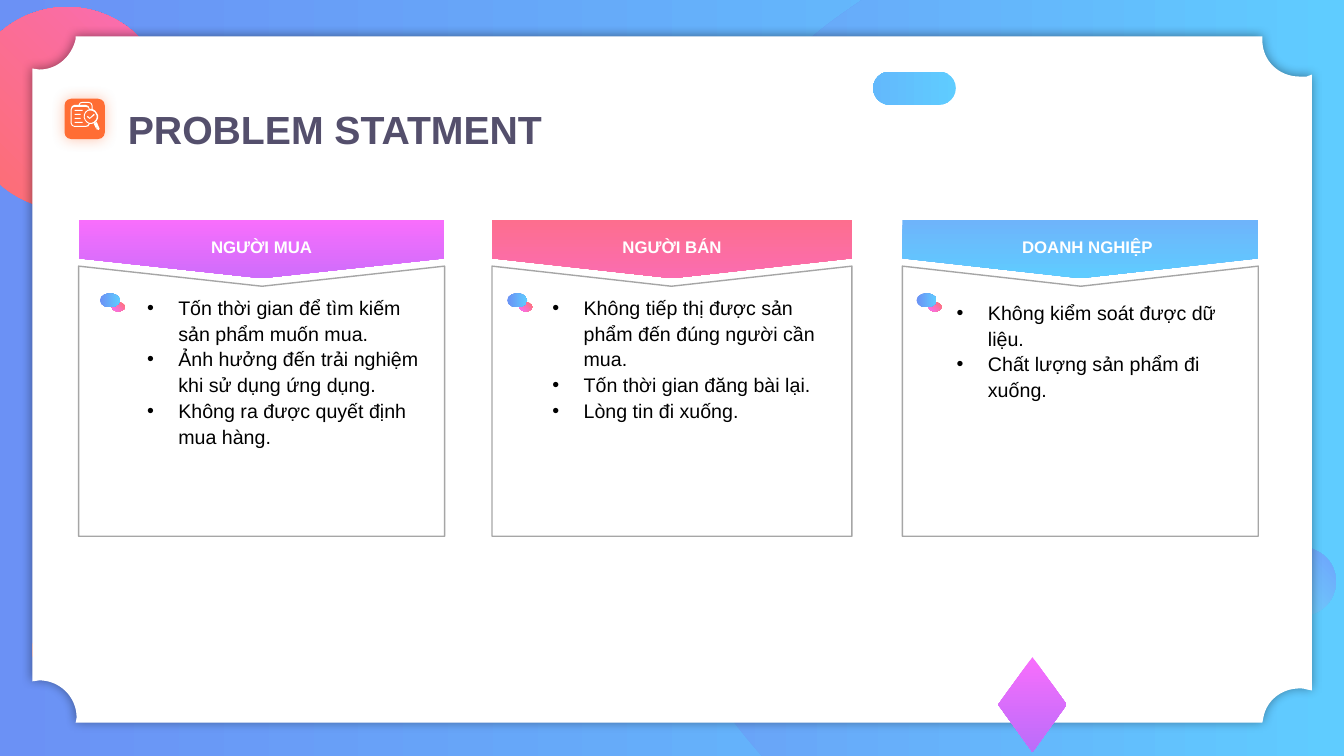
import dataclasses
import typing

import lxml.etree
import pptx
import pptx.dml.color
import pptx.dml.fill
import pptx.enum.shapes
import pptx.enum.text
import pptx.oxml.ns
import pptx.shapes.autoshape
import pptx.text.text
import pptx.util

PX = 9144
SHAPE = pptx.enum.shapes.MSO_SHAPE
ALIGN = pptx.enum.text.PP_ALIGN
ANCHOR = pptx.enum.text.MSO_ANCHOR
qn = pptx.oxml.ns.qn

COLORS = {
    "white": "FFFFFF", "black": "000000", "title": "544F6C", "border": "A6A6A6",
    "orange": "FF6D34", "periwinkle": "6B91F5", "sky": "5FCCFF", "blue": "6B9EF7",
    "coral": "FD6E6E", "pink": "F96DB6", "amber": "FDCA6E", "cyan": "6DDCFA",
    "cornflower": "6EA2FC", "magenta": "F86EFC", "violet": "BA6DFA",
    "orchid": "CE6DFB", "rose": "FD6E8E", "hot pink": "FB6DB1",
    "light blue": "6EB4FB", "azure": "63B9FC", "salmon": "FF7270",
}

Step = tuple[float, ...]


class Paint(typing.NamedTuple):
    start: str
    end: str = ""
    angle: int = 0


class Box(typing.NamedTuple):
    left: float
    top: float
    width: float
    height: float

    def emu(self) -> list[int]:
        return [round(value * PX) for value in self]


@dataclasses.dataclass
class Card:
    heading: str
    points: list[str]
    left: int
    width: int
    header: Paint
    heading_box: Box
    points_box: Box
    marker_left: int


@dataclasses.dataclass
class Ornament:
    preset: SHAPE
    box: Box
    paint: Paint


CARDS = [
    Card("NGƯỜI MUA",
         ["Tốn thời gian để tìm kiếm sản phẩm muốn mua.",
          "Ảnh hưởng đến trải nghiệm khi sử dụng ứng dụng.",
          "Không ra được quyết định mua hàng."],
         78, 363, Paint("magenta", "orchid"),
         Box(143, 225, 233, 39), Box(136, 286, 298, 165), 99),
    Card("NGƯỜI BÁN",
         ["Không tiếp thị được sản phẩm đến đúng người cần mua.",
          "Tốn thời gian đăng bài lại.",
          "Lòng tin đi xuống."],
         488, 357, Paint("rose", "hot pink"),
         Box(552, 225, 229, 39), Box(538, 286, 301, 139), 503),
    Card("DOANH NGHIỆP",
         ["Không kiểm soát được dữ liệu.",
          "Chất lượng sản phẩm đi xuống."],
         895, 353, Paint("light blue", "sky"),
         Box(965, 225, 227, 39), Box(939, 291, 302, 113), 909),
]

BACKDROP_CIRCLES = [
    Ornament(SHAPE.OVAL, Box(-34, 7, 201, 201), Paint("coral", "pink", 315)),
    Ornament(SHAPE.OVAL, Box(32, 611, 68, 68), Paint("coral", "amber", 315)),
    Ornament(SHAPE.OVAL, Box(1257, 543, 68, 68), Paint("cyan", "cornflower", 315)),
]

BACKDROP_SWEEP: list[list[Step]] = [[
    (855, 0), (1328, 0), (1328, 750), (756, 750), (755, 749),
    (676, 661, 627, 545, 627, 417), (627, 246, 713, 96, 845, 7)]]

PANEL: list[list[Step]] = [[
    (75, 36), (1252, 36), (1252, 40), (1252, 60, 1268, 76, 1289, 76),
    (1291, 76, 1294, 76, 1296, 76), (1301, 74), (1301, 685), (1296, 684),
    (1294, 683, 1291, 683, 1289, 683), (1271, 683, 1256, 695, 1253, 712),
    (1252, 717), (75, 717), (76, 712), (76, 691, 59, 675, 39, 675),
    (32, 676), (32, 68), (39, 69), (57, 69, 71, 56, 75, 39)]]

CLIPBOARD: list[list[Step]] = [
    [(88, 123), (89, 123), (89, 125, 87, 126, 85, 126), (74, 126),
     (72, 126, 70, 124, 70, 122), (70, 109), (70, 106, 72, 104, 74, 104),
     (78, 104), (78, 102, 80, 101, 82, 101), (88, 101),
     (90, 101, 92, 103, 92, 105), (92, 108), (91, 108), (91, 105),
     (91, 103, 89, 102, 88, 102), (82, 102), (80, 102, 79, 103, 79, 104),
     (85, 104), (87, 104, 89, 106, 89, 108), (88, 108),
     (88, 107, 87, 106, 85, 106), (74, 106), (73, 106, 71, 107, 71, 109),
     (71, 122), (71, 124, 73, 125, 74, 125), (85, 125),
     (86, 125, 87, 124, 88, 123)],
    [(94, 122), (90, 124, 86, 123, 84, 119), (82, 116, 83, 111, 87, 109),
     (90, 107, 94, 108, 96, 112), (99, 115, 97, 120, 94, 122)],
    [(93, 121), (96, 119, 97, 115, 95, 113), (94, 110, 90, 109, 87, 110),
     (84, 112, 83, 116, 85, 119), (87, 122, 90, 123, 93, 121)],
    [(96, 121), (93, 123), (95, 127), (98, 126)],
    [(98, 126), (95, 128), (96, 129, 97, 129, 98, 129), (99, 128, 99, 127, 98, 126)],
    [(89, 117), (87, 115), (86, 116), (89, 118), (94, 114), (93, 113)],
] + [[(74, y), (right, y), (right, y + 1), (74, y + 1)]
     for y, right in ((109, 82), (113, 80), (117, 80), (121, 82))]

deck = pptx.Presentation()
deck.slide_width, deck.slide_height = 1333 * PX, 750 * PX
slide = deck.slides.add_slide(deck.slide_layouts[6])


def rgb(name: str) -> pptx.dml.color.RGBColor:
    return pptx.dml.color.RGBColor.from_string(COLORS[name])


def apply_paint(fill: pptx.dml.fill.FillFormat, paint: Paint | None) -> None:
    if paint is None:
        fill.background()
    elif paint.end:
        fill.gradient()
        fill.gradient_angle = -paint.angle % 360
        for stop, name in zip(fill.gradient_stops, (paint.start, paint.end)):
            stop.color.rgb = rgb(name)
    else:
        fill.solid()
        fill.fore_color.rgb = rgb(paint.start)


def finish(shape: pptx.shapes.autoshape.Shape, paint: Paint | None) -> pptx.shapes.autoshape.Shape:
    shape.shadow.inherit = False
    apply_paint(shape.fill, paint)
    shape.line.fill.background()
    return shape


def add_preset(preset: SHAPE, box: Box, paint: Paint | None = None,
               corner: float | None = None) -> pptx.shapes.autoshape.Shape:
    shape = finish(slide.shapes.add_shape(preset, *box.emu()), paint)
    if corner is not None:
        shape.adjustments[0] = corner
    return shape


def add_outline(contours: list[list[Step]], paint: Paint | None = None) -> pptx.shapes.autoshape.Shape:
    builder = slide.shapes.build_freeform(*contours[0][0], scale=PX)
    for index, contour in enumerate(contours):
        if index:
            builder.move_to(*contour[0])
        builder.add_line_segments([step[-2:] for step in contour[1:]], close=True)
    shape = builder.convert_to_shape()
    left, top = shape.left / PX, shape.top / PX
    steps = [step for contour in contours for step in contour]
    segments = list(shape._element.iter(qn("a:moveTo"), qn("a:lnTo")))
    for step, segment in zip(steps, segments):
        if len(step) == 6:
            segment.tag = qn("a:cubicBezTo")
            segment.remove(segment[0])
            for x, y in zip(step[::2], step[1::2]):
                lxml.etree.SubElement(segment, qn("a:pt"), x=str(round(x - left)), y=str(round(y - top)))
    return finish(shape, paint)


def add_glow(shape: pptx.shapes.autoshape.Shape, color: str, blur: int) -> None:
    effects = shape._element.spPr.find(qn("a:effectLst"))
    glow = lxml.etree.SubElement(effects, qn("a:outerShdw"), blurRad=str(pptx.util.Pt(blur)),
                                 dist="0", dir="0", algn="ctr", rotWithShape="0")
    tint = lxml.etree.SubElement(glow, qn("a:srgbClr"), val=COLORS[color])
    lxml.etree.SubElement(tint, qn("a:alpha"), val="40000")


def write_text(frame: pptx.text.text.TextFrame, lines: list[str], *, size: int, color: str,
               bold: bool = False, align: ALIGN = ALIGN.LEFT, anchor: ANCHOR = ANCHOR.TOP,
               bullet: str = "", spacing: float = 1.0) -> None:
    frame.word_wrap = True
    frame.vertical_anchor = anchor
    for index, line in enumerate(lines):
        paragraph = frame.add_paragraph() if index else frame.paragraphs[0]
        if bullet:
            properties = paragraph._p.get_or_add_pPr()
            properties.set("marL", str(31 * PX))
            properties.set("indent", str(-31 * PX))
            lxml.etree.SubElement(properties, qn("a:buFont"), typeface="Arial")
            lxml.etree.SubElement(properties, qn("a:buChar"), char=bullet)
        paragraph.alignment = align
        paragraph.line_spacing = spacing
        run = paragraph.add_run()
        run.text = line
        run.font.name = "Arial"
        run.font.size = pptx.util.Pt(size)
        run.font.bold = bold
        run.font.color.rgb = rgb(color)


def add_text(box: Box) -> pptx.text.text.TextFrame:
    frame = slide.shapes.add_textbox(*box.emu()).text_frame
    frame.auto_size = pptx.enum.text.MSO_AUTO_SIZE.SHAPE_TO_FIT_TEXT
    return frame


def draw_card(card: Card) -> None:
    middle, right = card.left + card.width / 2, card.left + card.width
    header = add_preset(SHAPE.PENTAGON, Box(middle - 29, 247 - card.width / 2, 58, card.width),
                        card.header, 0.34)
    header.rotation = 90
    body = add_outline([[(card.left, 264), (middle, 284), (right, 264), (right, 532), (card.left, 532)]])
    body.line.color.rgb = rgb("border")
    body.line.width = pptx.util.Pt(1)
    heading = add_preset(SHAPE.ROUNDED_RECTANGLE, card.heading_box, corner=0)
    write_text(heading.text_frame, [card.heading], size=12, color="white", bold=True,
               align=ALIGN.CENTER, anchor=ANCHOR.MIDDLE)
    write_text(add_text(card.points_box), card.points, size=14, color="black", bullet="•", spacing=1.1)
    add_preset(SHAPE.OVAL, Box(card.marker_left + 12, 300, 13, 9), Paint("salmon", "magenta", 135))
    add_preset(SHAPE.OVAL, Box(card.marker_left, 291, 20, 14), Paint("periwinkle", "sky"))


def main() -> None:
    apply_paint(slide.background.fill, Paint("periwinkle", "sky"))
    add_outline(BACKDROP_SWEEP, Paint("blue", "sky"))
    for circle in BACKDROP_CIRCLES:
        add_preset(circle.preset, circle.box, circle.paint)
    add_glow(add_outline(PANEL, Paint("white")), "black", 7)
    add_preset(SHAPE.DIAMOND, Box(990, 652, 68, 94), Paint("magenta", "violet", 90))
    write_text(add_text(Box(117, 100, 474, 57)), ["PROBLEM STATMENT"], size=28, color="title", bold=True)
    badge = add_preset(SHAPE.ROUNDED_RECTANGLE, Box(64, 98, 40, 40), Paint("orange"))
    add_glow(badge, "orange", 10)
    add_preset(SHAPE.ROUNDED_RECTANGLE, Box(866, 71, 82, 33), Paint("sky", "azure", 180), 0.5)
    add_outline(CLIPBOARD, Paint("white"))
    for card in CARDS:
        draw_card(card)
    deck.save("out.pptx")


if __name__ == "__main__":
    main()
